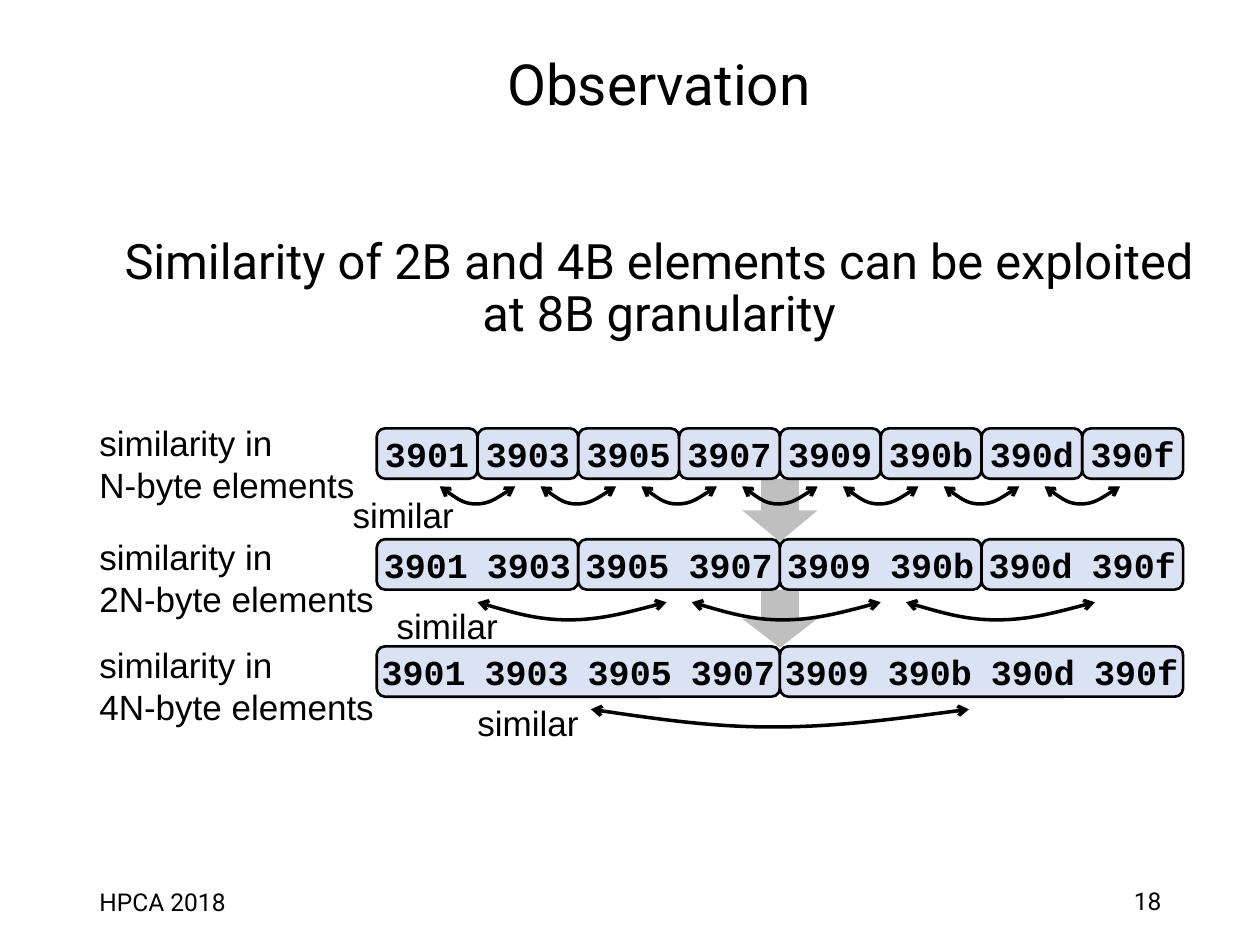
import pptx
import pptx.dml.color
import pptx.enum.shapes
import pptx.enum.text
import pptx.oxml.ns
import pptx.oxml.xmlchemy
import pptx.util
from pptx.util import Inches

COLORS = {"ink": "000000", "paper": "FFFFFF", "cell": "DAE3F3", "arrow": "BFBFBF"}
SHAPES = pptx.enum.shapes.MSO_SHAPE
ALIGN = pptx.enum.text.PP_ALIGN
ANCHOR = pptx.enum.text.MSO_ANCHOR
WORDS = ["3901", "3903", "3905", "3907", "3909", "390b", "390d", "390f"]
WORD_WIDTH = 0.8
GRID_LEFT = 2.99
ROWS = [
    {"group": 1, "top": 3.4, "label": "N-byte elements", "label_top": 3.3,
     "similar": (2.3, 3.91, 1.8), "curve": (3.49, 3.86, 0.6), "step": 0.8, "curves": 7},
    {"group": 2, "top": 4.28, "label": "2N-byte elements", "label_top": 4.2,
     "similar": (2.75, 4.79, 1.6), "curve": (3.79, 4.78, 1.5), "step": 1.7, "curves": 3},
    {"group": 4, "top": 5.13, "label": "4N-byte elements", "label_top": 5.06,
     "similar": (3.29, 5.56, 1.8), "curve": (4.69, 5.63, 3), "step": 0, "curves": 1},
]


class Painter:
    """Draws styled elements on the current page."""

    def __init__(self, page):
        self.page = page

    def color(self, name):
        return pptx.dml.color.RGBColor.from_string(COLORS[name])

    def style(self, para, size, name, bold=False, align=ALIGN.LEFT):
        para.alignment = align
        para.font.size = pptx.util.Pt(size)
        para.font.name = name
        para.font.bold = bold
        para.font.color.rgb = self.color("ink")

    def text(self, lines, left, top, width, height, sizes, name="Arial", align=ALIGN.LEFT):
        box = self.page.shapes.add_textbox(
            Inches(left), Inches(top), Inches(width), Inches(height))
        frame = box.text_frame
        frame.word_wrap = True
        frame.text = "\n".join(lines)
        for para, size in zip(frame.paragraphs, sizes):
            self.style(para, size, name, align=align)
        return frame

    def similar(self, left, top, width):
        frame = self.text(["similar"], left, top, width, 0.35, [20], align=ALIGN.CENTER)
        frame.margin_left = frame.margin_right = 0
        frame.vertical_anchor = ANCHOR.MIDDLE

    def shape(self, kind, left, top, width, height, fill):
        shape = self.page.shapes.add_shape(
            kind, Inches(left), Inches(top), Inches(width), Inches(height))
        shape.shadow.inherit = False
        shape.fill.solid()
        shape.fill.fore_color.rgb = self.color(fill)
        shape.line.fill.background()
        return shape

    def cell(self, words, left, top):
        cell = self.shape(SHAPES.ROUNDED_RECTANGLE, left, top,
                          len(words) * WORD_WIDTH, 0.4, "cell")
        cell.line.color.rgb = self.color("ink")
        cell.line.width = pptx.util.Pt(1.5)
        frame = cell.text_frame
        frame.margin_left = frame.margin_right = 0
        frame.vertical_anchor = ANCHOR.MIDDLE
        para = frame.paragraphs[0]
        self.style(para, 20, "Courier New", True, ALIGN.CENTER)
        for index, word in enumerate(words):
            if index:
                gap = para.add_run()
                gap.text = " "
                gap.font.size = pptx.util.Pt(18)
            para.add_run().text = word

    def curve(self, left, top, width):
        across = [0.16, 0.32, 0.48, 0.65, 0.82, 1]
        down = [0.07, 0.14, 0.14, 0.14, 0.07, 0]
        points = [(Inches(left + width * x), Inches(top + y)) for x, y in zip(across, down)]
        builder = self.page.shapes.build_freeform(Inches(left), Inches(top))
        builder.add_line_segments(points, close=False)
        curve = builder.convert_to_shape()
        curve.shadow.inherit = False
        curve.fill.background()
        curve.line.color.rgb = self.color("ink")
        curve.line.width = pptx.util.Pt(2)
        segments = list(curve.element.iter(pptx.oxml.ns.qn("a:lnTo")))
        for start in range(0, len(segments), 3):
            bezier = pptx.oxml.xmlchemy.OxmlElement("a:cubicBezTo")
            segments[start].addprevious(bezier)
            for segment in segments[start:start + 3]:
                bezier.append(segment[0])
                segment.getparent().remove(segment)
        outline = next(curve.element.iter(pptx.oxml.ns.qn("a:ln")))
        for tag in ("a:headEnd", "a:tailEnd"):
            end = pptx.oxml.xmlchemy.OxmlElement(tag)
            end.set("type", "arrow")
            outline.append(end)


def main():
    deck = pptx.Presentation()
    deck.slide_width, deck.slide_height = Inches(10), Inches(7.5)
    page = deck.slides.add_slide(deck.slide_layouts[6])
    painter = Painter(page)
    page.background.fill.solid()
    page.background.fill.fore_color.rgb = painter.color("paper")

    painter.text(["18"], 8.9, 6.98, 0.65, 0.34, [14], "Roboto")
    painter.text(["HPCA 2018"], 0.69, 6.99, 1.62, 0.34, [14], "Roboto")
    title = painter.text(
        ["Observation", "Similarity of 2B and 4B elements can be exploited at 8B granularity"],
        0.69, 0.4, 9.08, 1.45, [32.4, 27.9], "Roboto", ALIGN.CENTER)
    for para in title.paragraphs:
        para.line_spacing = 0.9
    title.paragraphs[1].space_before = pptx.util.Pt(68)

    for top, height in [(3.8, 0.5), (4.68, 0.46)]:
        painter.shape(SHAPES.DOWN_ARROW, 5.89, top, 0.6, height, "arrow")

    for row in ROWS:
        for first in range(0, len(WORDS), row["group"]):
            painter.cell(WORDS[first:first + row["group"]],
                         GRID_LEFT + first * WORD_WIDTH, row["top"])
        left, top, width = row["curve"]
        for index in range(row["curves"]):
            painter.curve(left + index * row["step"], top, width)
        painter.similar(*row["similar"])
        painter.text(["similarity in", row["label"]], 0.69, row["label_top"], 2.5, 0.77, [20, 20])

    deck.save("out.pptx")


if __name__ == "__main__":
    main()
